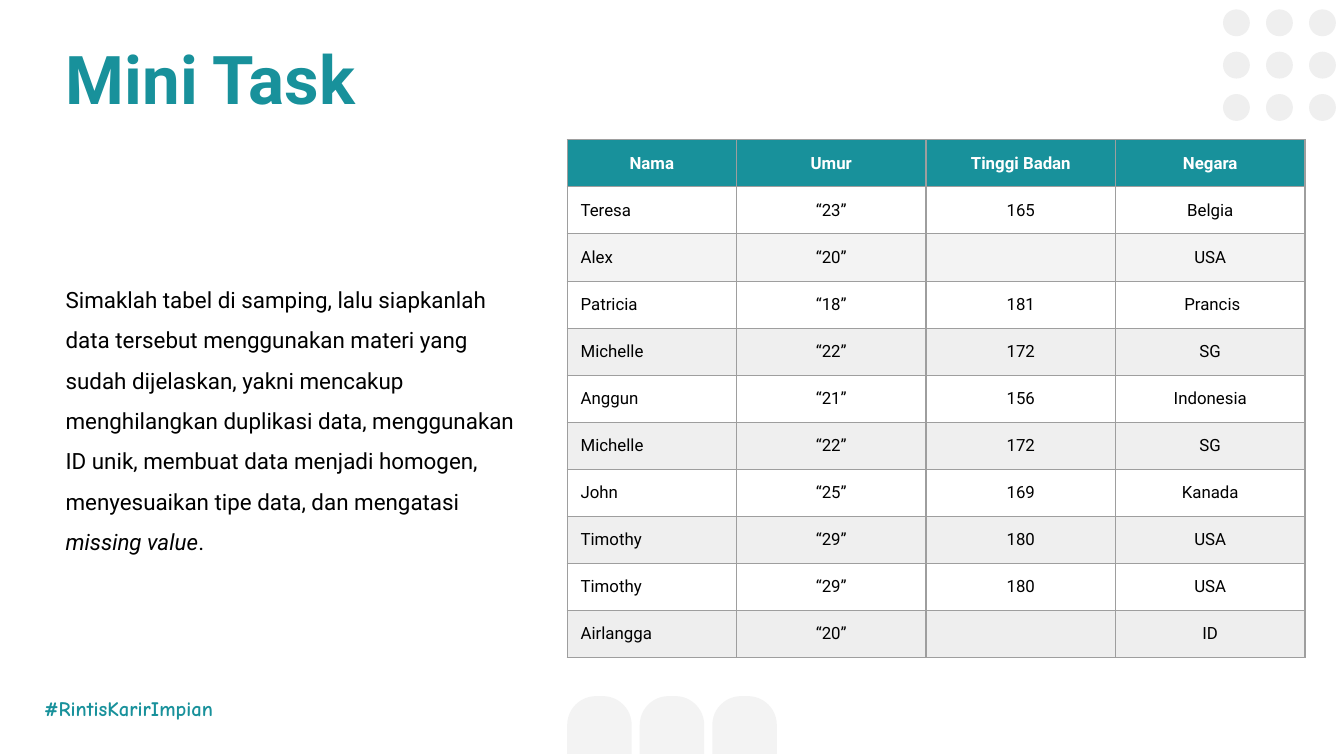
from dataclasses import dataclass
from itertools import product

from pptx import Presentation
from pptx.dml.color import RGBColor
from pptx.enum.shapes import MSO_SHAPE
from pptx.enum.text import MSO_ANCHOR, MSO_AUTO_SIZE, PP_ALIGN
from pptx.oxml import parse_xml
from pptx.oxml.ns import nsdecls
from pptx.util import Inches, Pt


@dataclass(frozen=True)
class Theme:
    teal: str = "18919B"
    black: str = "000000"
    white: str = "FFFFFF"
    dot: str = "EFEFEF"
    tab: str = "F3F3F3"
    border: str = "9E9E9E"
    row_fills: tuple = ("18919B", "FFFFFF", "F3F3F3", "FFFFFF", "EFEFEF", "FFFFFF",
                        "EFEFEF", "FFFFFF", "EFEFEF", "FFFFFF", "EEEEEE")
    font: str = "Roboto"
    tag_font: str = "Comic Neue"
    title_size: int = 36
    body_size: int = 12
    tag_size: int = 11
    table_size: int = 9
    border_width: float = 0.75


THEME = Theme()

HEADERS = ("Nama", "Umur", "Tinggi Badan", "Negara")
PEOPLE = (
    ("Teresa", "“23”", "165", "Belgia"),
    ("Alex", "“20”", "", "USA"),
    ("Patricia", "“18”", "181", " Prancis"),
    ("Michelle", "“22”", "172", "SG"),
    ("Anggun", "“21”", "156", "Indonesia"),
    ("Michelle", "“22”", "172", "SG"),
    ("John", "“25”", "169", "Kanada"),
    ("Timothy", "“29”", "180", "USA"),
    ("Timothy", "“29”", "180", "USA"),
    ("Airlangga", "“20”", "", "ID"),
)
COLUMN_WIDTHS = (1.26, 1.41, 1.41, 1.41)
ROW_HEIGHT = 0.35

TASK = (
    ("Simaklah tabel di samping, lalu siapkanlah data tersebut menggunakan "
     "materi yang sudah dijelaskan, yakni mencakup menghilangkan duplikasi "
     "data, menggunakan ID unik, membuat data menjadi homogen, menyesuaikan "
     "tipe data, dan mengatasi ", False),
    ("missing value", True),
    (".", False),
)


def add_span(para, text, size, color, font=THEME.font, bold=False, italic=False):
    span = para.add_run()
    span.text = text
    span.font.name = font
    span.font.size = Pt(size)
    span.font.bold = bold
    span.font.italic = italic
    span.font.color.rgb = RGBColor.from_string(color)


def prepare_frame(frame, wrap=True):
    """Give a text frame even insets and top-left text; return its paragraph."""
    frame.margin_left = frame.margin_right = Inches(0.1)
    frame.margin_top = frame.margin_bottom = Inches(0.1)
    frame.vertical_anchor = MSO_ANCHOR.TOP
    frame.word_wrap = wrap
    frame.auto_size = MSO_AUTO_SIZE.NONE
    para = frame.paragraphs[0]
    para.alignment = PP_ALIGN.LEFT
    return para


def set_title(page, text):
    title = page.shapes.title
    title.left, title.top = Inches(0.39), Inches(0.18)
    title.width, title.height = Inches(8.62), Inches(0.81)
    para = prepare_frame(title.text_frame)
    add_span(para, text, THEME.title_size, THEME.teal, bold=True)


def add_text_box(page, left, top, width, height, wrap=True):
    box = page.shapes.add_textbox(
        Inches(left), Inches(top), Inches(width), Inches(height))
    return prepare_frame(box.text_frame, wrap)


def add_plain_shape(page, kind, left, top, width, height, color):
    shape = page.shapes.add_shape(
        kind, Inches(left), Inches(top), Inches(width), Inches(height))
    shape.shadow.inherit = False
    shape.fill.solid()
    shape.fill.fore_color.rgb = RGBColor.from_string(color)
    shape.line.fill.background()
    return shape


def add_tabs(page):
    for column in range(3):
        tab = add_plain_shape(page, MSO_SHAPE.ROUND_2_SAME_RECTANGLE,
                              4.22 + 0.54 * column, 5.18, 0.48, 0.43, THEME.tab)
        tab.adjustments[0] = 0.5
        tab.adjustments[1] = 0


def add_dots(page):
    for row, column in product(range(3), repeat=2):
        add_plain_shape(page, MSO_SHAPE.OVAL, 9.1 + 0.32 * column,
                        0.07 + 0.63 * row / 2, 0.2, 0.2, THEME.dot)


def set_borders(cell):
    properties = cell._tc.get_or_add_tcPr()
    for side in ("lnL", "lnR", "lnT", "lnB"):
        properties.append(parse_xml(
            f'<a:{side} {nsdecls("a")} w="{Pt(THEME.border_width)}">'
            f'<a:solidFill><a:srgbClr val="{THEME.border}"/></a:solidFill>'
            f'</a:{side}>'))


def fill_cell(cell, text, fill, color, bold, alignment):
    set_borders(cell)
    cell.fill.solid()
    cell.fill.fore_color.rgb = RGBColor.from_string(fill)
    cell.margin_left = cell.margin_right = Inches(0.1)
    cell.margin_top = cell.margin_bottom = Inches(0.1)
    cell.vertical_anchor = MSO_ANCHOR.MIDDLE
    para = cell.text_frame.paragraphs[0]
    para.alignment = alignment
    if text:
        add_span(para, text, THEME.table_size, color, bold=bold)
    else:
        # The end mark keeps an empty cell from stretching its row.
        para._p.append(parse_xml(
            f'<a:endParaRPr {nsdecls("a")} sz="{THEME.table_size * 100}"/>'))


def add_people_table(page):
    rows = (HEADERS, *PEOPLE)
    table = page.shapes.add_table(
        len(rows), len(HEADERS), Inches(4.22), Inches(1.04),
        Inches(sum(COLUMN_WIDTHS)), Inches(ROW_HEIGHT * len(rows))).table
    table.horz_banding = False
    for column, width in zip(table.columns, COLUMN_WIDTHS):
        column.width = Inches(width)
    for r, (values, fill) in enumerate(zip(rows, THEME.row_fills)):
        table.rows[r].height = Inches(ROW_HEIGHT)
        is_header = r == 0
        color = THEME.white if is_header else THEME.black
        for c, text in enumerate(values):
            is_name = c == 0 and not is_header
            alignment = PP_ALIGN.LEFT if is_name else PP_ALIGN.CENTER
            fill_cell(table.cell(r, c), text, fill, color, is_header, alignment)


def main():
    deck = Presentation()
    deck.slide_width = Inches(10)
    deck.slide_height = deck.slide_width * 9 // 16
    page = deck.slides.add_slide(deck.slide_layouts.get_by_name("Title Only"))

    add_tabs(page)
    add_dots(page)
    tag = add_text_box(page, 0.23, 5.08, 1.57, 0.39, wrap=False)
    add_span(tag, "#RintisKarirImpian", THEME.tag_size, THEME.teal,
             font=THEME.tag_font, bold=True)
    set_title(page, "Mini Task")
    task = add_text_box(page, 0.39, 1.93, 3.6, 2.22)
    task.line_spacing = 1.5
    for text, italic in TASK:
        add_span(task, text, THEME.body_size, THEME.black, italic=italic)
    add_people_table(page)

    deck.save("out.pptx")


if __name__ == "__main__":
    main()
